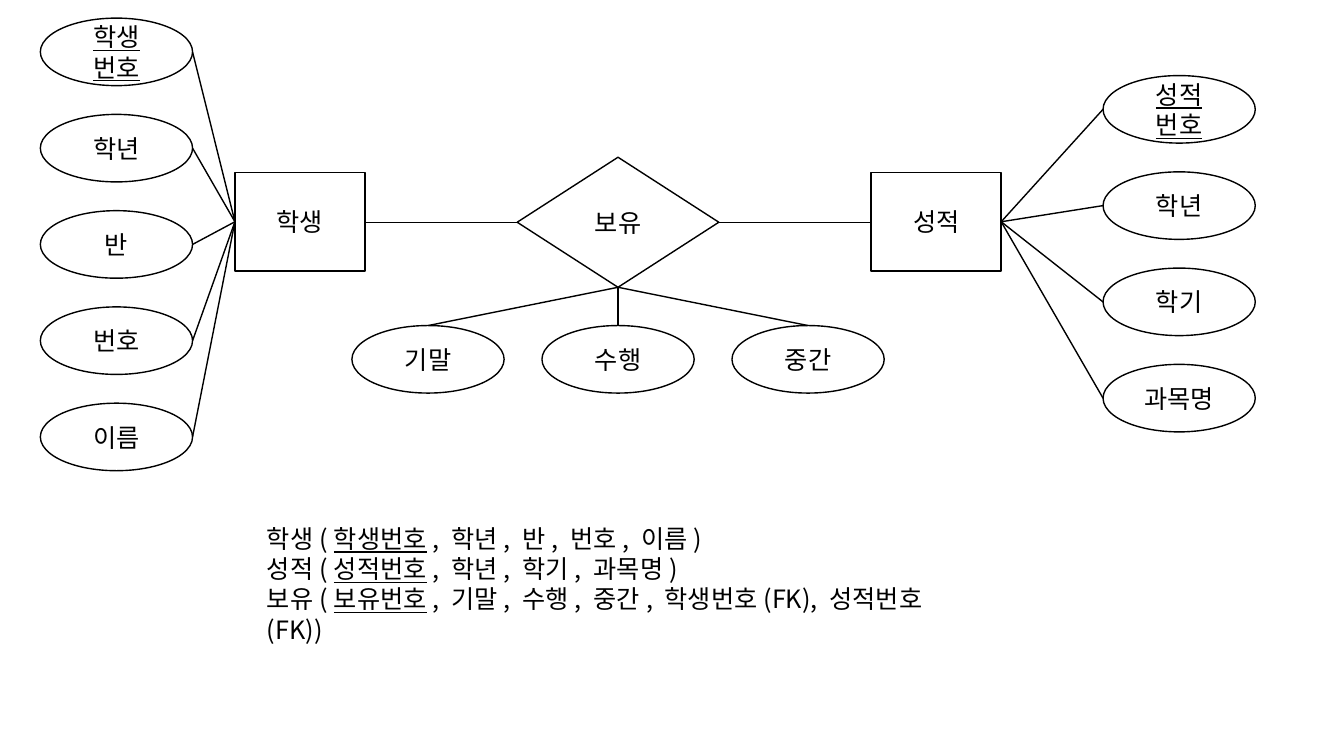
from pptx import Presentation
from pptx.dml.color import RGBColor
from pptx.enum.shapes import MSO_CONNECTOR as CONNECTOR, MSO_SHAPE as SHAPE
from pptx.enum.text import MSO_ANCHOR as ANCHOR, PP_ALIGN as ALIGN
from pptx.oxml.xmlchemy import OxmlElement
from pptx.util import Inches, Pt

FONT = "Noto Sans CJK KR"
BLACK, WHITE = "000000", "FFFFFF"
OVAL_W, OVAL_H = 1.51, 0.67
OVAL_STEP = 0.955  # vertical pitch of attributes beside an entity
MEASURE_STEP = 1.885  # horizontal pitch of attributes below the relationship


def color(hex_code):
    """Turn a hex string into a colour."""
    return RGBColor.from_string(hex_code)


def style_text(paragraph, underline=None):
    """Give a paragraph the diagram's font, size and colour."""
    font = paragraph.font
    font.name, font.size, font.underline = FONT, Pt(18), underline
    font.color.rgb = color(BLACK)
    for run in paragraph.runs:
        east_asian = OxmlElement("a:ea")
        east_asian.set("typeface", FONT)
        run.font._element.append(east_asian)


def add_node(slide, kind, box, label, key=False):
    """Draw one outlined, labelled node; a key label is underlined."""
    node = slide.shapes.add_shape(kind, *map(Inches, box))
    node.shadow.inherit = False
    node.fill.solid()
    node.fill.fore_color.rgb = color(WHITE)
    node.line.color.rgb = color(BLACK)
    node.line.width = Pt(1)
    frame = node.text_frame
    frame.text = label
    frame.vertical_anchor = ANCHOR.MIDDLE
    for paragraph in frame.paragraphs:
        paragraph.alignment = ALIGN.CENTER
        style_text(paragraph, key or None)


def add_link(slide, start, end):
    """Draw a plain line between two points."""
    link = slide.shapes.add_connector(
        CONNECTOR.STRAIGHT, *map(Inches, (*start, *end)))
    link.line.color.rgb = color(BLACK)
    link.line.width = Pt(1)
    link._element.spPr.append(OxmlElement("a:effectLst"))


def add_entity(slide, box, name, attributes, oval_left, oval_top):
    """Draw an entity and its column of attributes, the key one first."""
    left, top, width, height = box
    add_node(slide, SHAPE.RECTANGLE, box, name)
    on_left = oval_left < left
    entity_side = (left if on_left else left + width, top + height / 2)
    oval_side = oval_left + OVAL_W if on_left else oval_left
    for row, attribute in enumerate(attributes):
        y = oval_top + row * OVAL_STEP
        add_node(slide, SHAPE.OVAL, (oval_left, y, OVAL_W, OVAL_H),
                 attribute, key=row == 0)
        add_link(slide, (oval_side, y + OVAL_H / 2), entity_side)


def add_relationship(slide, box, name, attributes, oval_top):
    """Draw a relationship diamond and the row of attributes below it."""
    left, top, width, height = box
    add_node(slide, SHAPE.DIAMOND, box, name)
    center = left + width / 2
    for column, attribute in enumerate(attributes):
        x = center + (column - (len(attributes) - 1) / 2) * MEASURE_STEP
        add_node(slide, SHAPE.OVAL,
                 (x - OVAL_W / 2, oval_top, OVAL_W, OVAL_H), attribute)
        add_link(slide, (center, top + height), (x, oval_top))


def add_schema(slide, box, relations):
    """List the relations as text, with each primary key underlined."""
    frame = slide.shapes.add_textbox(*map(Inches, box)).text_frame
    frame.word_wrap = True
    for index, (name, key, columns) in enumerate(relations):
        line = frame.add_paragraph() if index else frame.paragraphs[0]
        for part in (f"{name}(", key, f", {columns})"):
            run = line.add_run()
            run.text = part
            if part == key:
                run.font.underline = True
        style_text(line)


def build_slide(prs):
    """Compose the entity-relationship diagram and its schema."""
    slide = prs.slides.add_slide(prs.slide_layouts[6])
    student = (2.33, 1.71, 1.29, 0.98)
    grade = (8.64, 1.71, 1.29, 0.98)
    holds = (5.13, 1.56, 2, 1.29)
    add_entity(slide, student, "학생",
               ["학생\n번호", "학년", "반", "번호", "이름"], 0.4, 0.18)
    add_entity(slide, grade, "성적",
               ["성적\n번호", "학년", "학기", "과목명"], 10.94, 0.75)
    add_relationship(slide, holds, "보유", ["기말", "수행", "중간"], 3.23)
    axis = holds[1] + holds[3] / 2
    for before, after in ((student, holds), (holds, grade)):
        add_link(slide, (before[0] + before[2], axis), (after[0], axis))
    add_schema(slide, (2.55, 5.14, 7.03, 1.01), [
        ("학생", "학생번호", "학년, 반, 번호, 이름"),
        ("성적", "성적번호", "학년, 학기, 과목명"),
        ("보유", "보유번호", "기말, 수행, 중간, 학생번호(FK), 성적번호(FK)"),
    ])


prs = Presentation()
prs.slide_width, prs.slide_height = Inches(13.33), Inches(7.5)
build_slide(prs)
prs.save("out.pptx")
